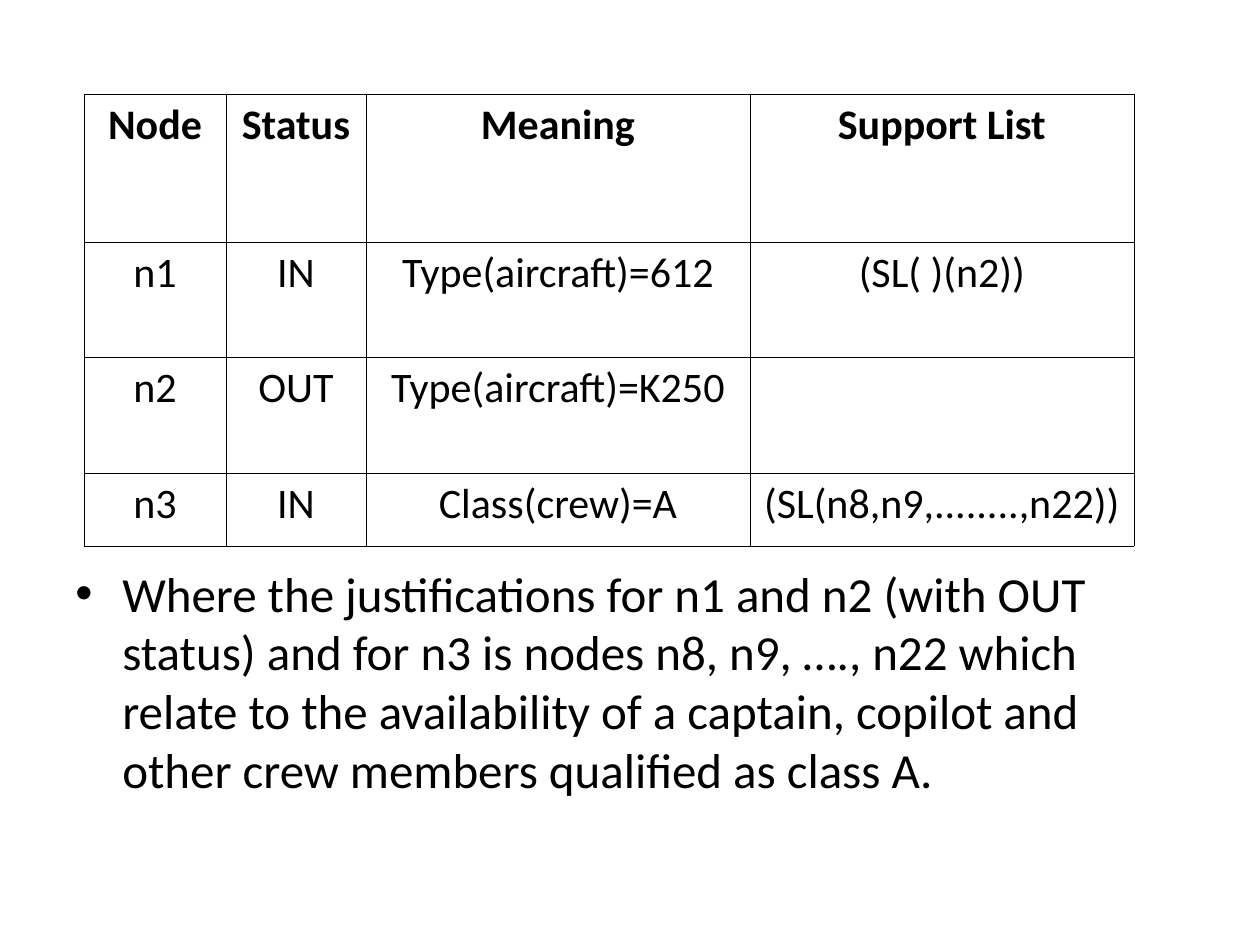
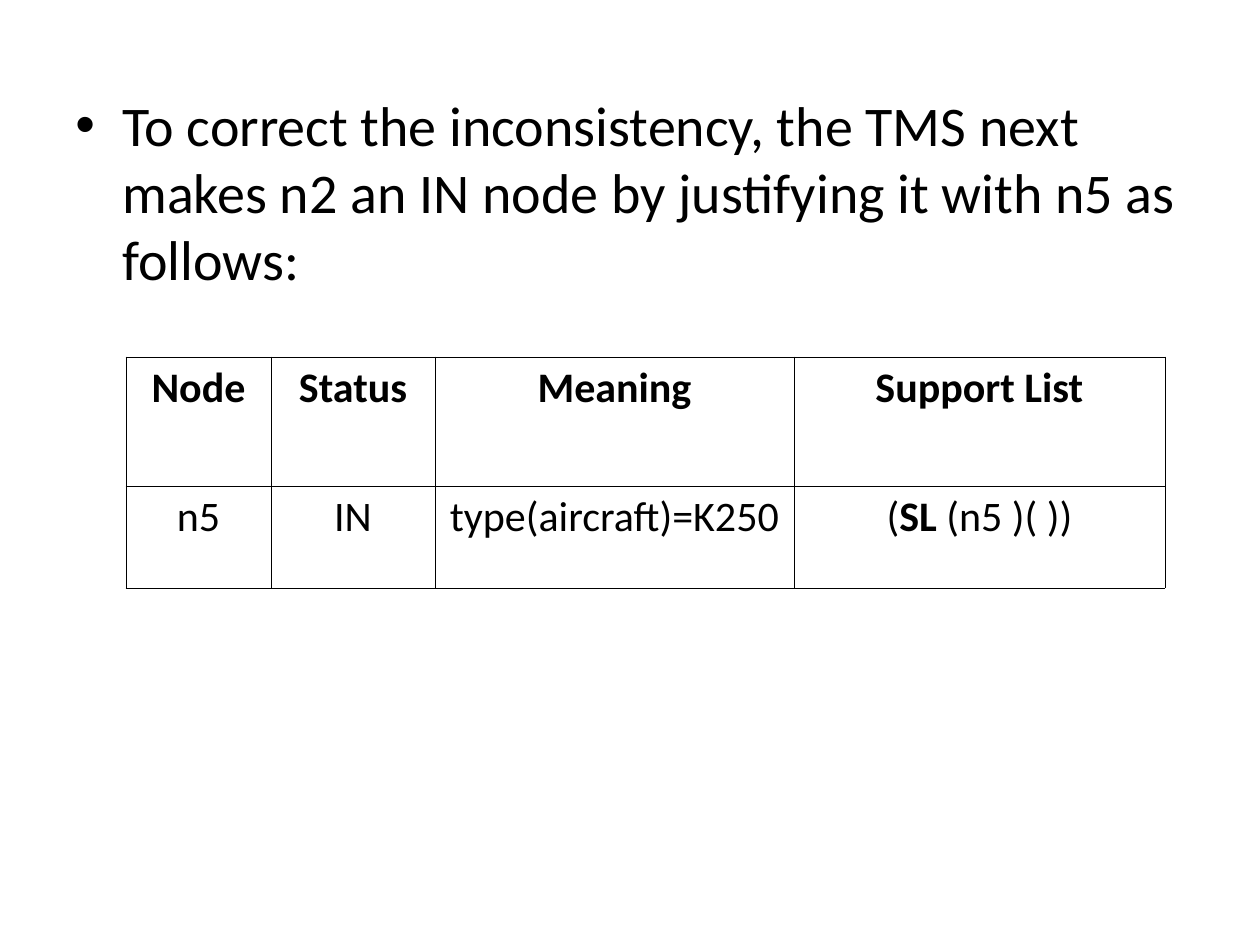
import pptx
import pptx.dml.color
import pptx.enum.text
import pptx.oxml
import pptx.oxml.ns
import pptx.util

EMU_PER_PX = 914400 / 126
FONT = "Calibri"
BLACK = "000000"
BORDER_PT = 0.45
HEADINGS = ["Node", "Status", "Meaning", "Support List"]
HANGING_INDENT = 47


def px(length):
    """Turn a length in px into EMU."""
    return pptx.util.Emu(round(length * EMU_PER_PX))


def rgb(hex_string):
    """Turn a hex string into a colour."""
    return pptx.dml.color.RGBColor.from_string(hex_string)


def xml(tag, content="", **attributes):
    """Build one DrawingML element."""
    listed = " ".join(f'{key}="{value}"' for key, value in attributes.items())
    return pptx.oxml.parse_xml(
        f'<a:{tag} {pptx.oxml.ns.nsdecls("a")} {listed}>{content}</a:{tag}>')


def write_text(paragraph, text, size=24, bold=False, color=BLACK, align="LEFT"):
    """Write a string, or a list of (string, bold) pairs, into a paragraph."""
    paragraph.alignment = getattr(pptx.enum.text.PP_ALIGN, align)
    pieces = [(text, bold)] if isinstance(text, str) else text
    for words, is_bold in pieces:
        run = paragraph.add_run()
        run.text = words
        run.font.name = FONT
        run.font.size = pptx.util.Pt(size)
        run.font.bold = is_bold
        run.font.color.rgb = rgb(color)


def add_bullet(slide, text, left, top, width, height, size, space_before):
    """Add a text box holding one bulleted statement."""
    frame = slide.shapes.add_textbox(px(left), px(top), px(width), px(height)).text_frame
    frame.word_wrap = True
    statement = frame.paragraphs[0]
    write_text(statement, text, size=size)
    statement.space_before = pptx.util.Pt(space_before)
    properties = statement._p.get_or_add_pPr()
    properties.set("marL", str(px(HANGING_INDENT)))
    properties.set("indent", str(-px(HANGING_INDENT)))
    properties.append(xml("buClr", f'<a:srgbClr val="{BLACK}"/>'))
    properties.append(xml("buFont", typeface="Arial"))
    properties.append(xml("buChar", char="•"))


def format_cell(cell):
    """Give a cell its margins, four thin borders and no fill."""
    cell.margin_left = cell.margin_right = px(10)
    cell.margin_top = cell.margin_bottom = px(6)
    cell.fill.background()
    properties = cell._tc.get_or_add_tcPr()
    line = f'<a:solidFill><a:srgbClr val="{BLACK}"/></a:solidFill>'
    for position, side in enumerate(("lnL", "lnR", "lnT", "lnB")):
        properties.insert(position, xml(side, line, w=pptx.util.Pt(BORDER_PT)))


def add_node_table(slide, nodes, left, top, columns, rows):
    """Add a table of nodes under the shared headings."""
    table = slide.shapes.add_table(
        len(rows), len(columns), px(left), px(top), px(sum(columns)), px(sum(rows))).table
    table.first_row = table.horz_banding = False
    for column, width in zip(table.columns, columns):
        column.width = px(width)
    for row, height in zip(table.rows, rows):
        row.height = px(height)
    for row_number, entries in enumerate([HEADINGS] + nodes):
        for column_number, entry in enumerate(entries):
            cell = table.cell(row_number, column_number)
            format_cell(cell)
            if entry:
                write_text(cell.text_frame.paragraphs[0], entry,
                           bold=row_number == 0, align="CENTER")


def main():
    """Build both slides and save them."""
    deck = pptx.Presentation()
    deck.slide_width, deck.slide_height = px(1260), px(945)
    blank = deck.slide_layouts[6]

    justifications = deck.slides.add_slide(blank)
    add_bullet(
        justifications,
        "Where the justifications for n1 and n2 (with OUT status) and for n3 is nodes "
        "n8, n9, …., n22 which relate to the availability of a captain, copilot and "
        "other crew members qualified as class A.",
        left=63, top=557, width=1134, height=287, size=28, space_before=7)
    add_node_table(
        justifications,
        [["n1", "IN", "Type(aircraft)=612", "(SL( )(n2))"],
         ["n2", "OUT", "Type(aircraft)=K250", ""],
         ["n3", "IN", "Class(crew)=A", "(SL(n8,n9,........,n22))"]],
        left=84, top=94, columns=[142, 140, 384, 384], rows=[148, 115, 116, 73])

    correction = deck.slides.add_slide(blank)
    add_bullet(
        correction,
        "To correct the inconsistency, the TMS next makes n2 an IN node by justifying "
        "it with n5 as follows:",
        left=63, top=84, width=1134, height=252, size=32, space_before=8)
    add_node_table(
        correction,
        [["n5", "IN", "type(aircraft)=K250",
          [("(", False), ("SL", True), (" (n5 )( ))", False)]]],
        left=126, top=357, columns=[145, 164, 359, 371], rows=[129, 102])

    deck.save("out.pptx")


if __name__ == "__main__":
    main()
